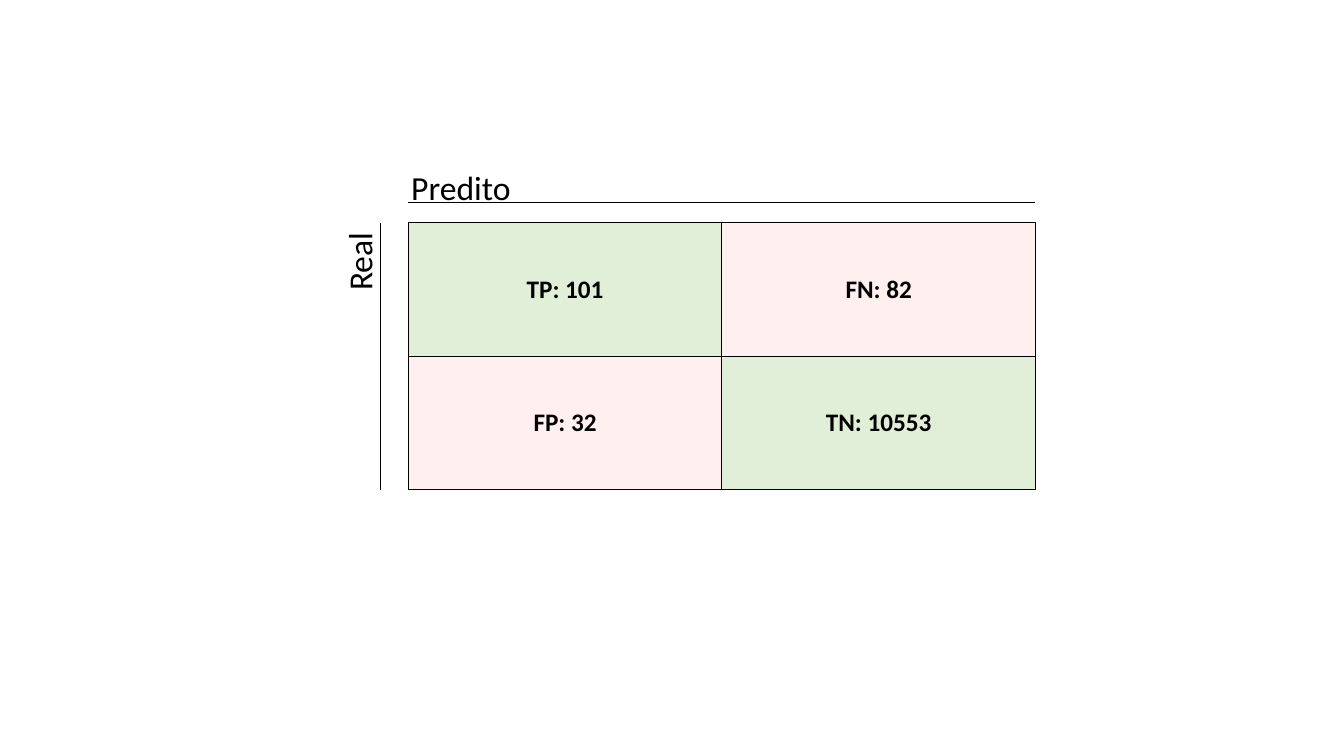
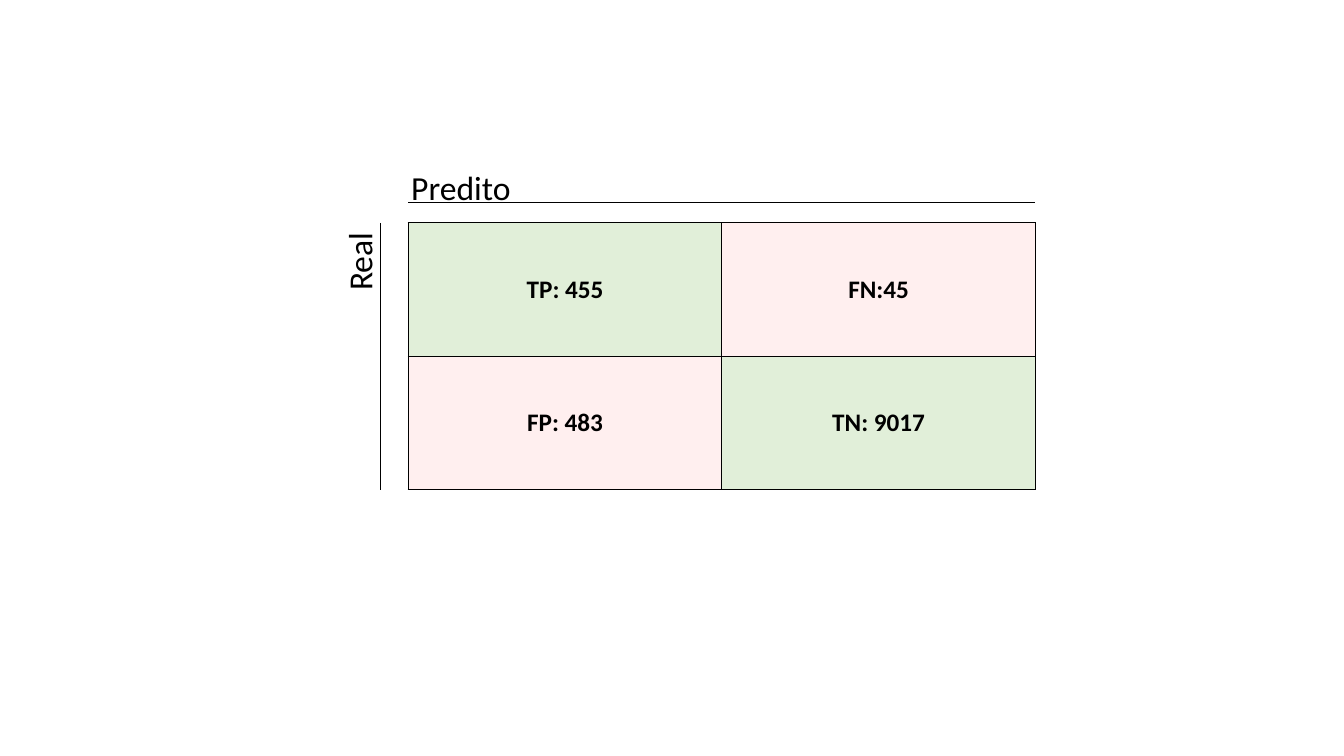
from collections import namedtuple

from lxml import etree
from pptx import Presentation
from pptx.dml.color import RGBColor
from pptx.enum.shapes import MSO_CONNECTOR
from pptx.enum.text import MSO_ANCHOR, MSO_AUTO_SIZE, PP_ALIGN
from pptx.oxml.ns import qn
from pptx.util import Inches, Pt

STRAIGHT = MSO_CONNECTOR.STRAIGHT
MIDDLE = MSO_ANCHOR.MIDDLE
FIT_SHAPE = MSO_AUTO_SIZE.SHAPE_TO_FIT_TEXT
LEFT, CENTER, RIGHT = PP_ALIGN.LEFT, PP_ALIGN.CENTER, PP_ALIGN.RIGHT

BLACK = RGBColor(0x00, 0x00, 0x00)
GREEN = RGBColor(0xC5, 0xE0, 0xB4)
RED = RGBColor(0xFF, 0x65, 0x65)
HIT, MISS = (GREEN, 50), (RED, 10)  # colour and opacity in percent
FONT = "Calibri"

Box = namedtuple("Box", "left top width height")
MATRIX_BOX = Box(4.05, 2.21, 6.22, 2.65)
COLUMN_RULE_GAP, ROW_RULE_GAP = 0.2, 0.28

MATRICES = [
    [["TP: 101", "FN: 82"], ["FP: 32", "TN: 10553"]],
    [["TP: 455", "FN:45"], ["FP: 483", "TN: 9017"]],
]


def write(frame, text, size=24, bold=False, align=LEFT):
    para = frame.paragraphs[0]
    para.alignment = align
    span = para.add_run()
    span.text = text
    span.font.name = FONT
    span.font.size = Pt(size)
    span.font.bold = bold
    span.font.color.rgb = BLACK


def add_rule(page, start, end):
    rule = page.shapes.add_connector(STRAIGHT, *map(Inches, start + end))
    rule.line.color.rgb = BLACK
    rule.line.width = Pt(0.5)
    etree.SubElement(rule._element.spPr, qn("a:effectLst"))


def add_axis_label(page, box, text, align=LEFT, vertical=False):
    label = page.shapes.add_textbox(*map(Inches, box))
    frame = label.text_frame
    frame.word_wrap = True
    frame.auto_size = FIT_SHAPE
    if vertical:
        frame._txBody.bodyPr.set("vert", "vert270")
    write(frame, text, align=align)


def add_solid_fill(parent, color):
    fill = etree.SubElement(parent, qn("a:solidFill"))
    return etree.SubElement(fill, qn("a:srgbClr"), val=str(color))


def style_cell(cell, color, opacity):
    """Draw the four borders, then the translucent fill."""
    properties = cell._tc.get_or_add_tcPr()
    for side in ("lnL", "lnR", "lnT", "lnB"):
        border = etree.SubElement(properties, qn(f"a:{side}"), w=str(Pt(1)))
        add_solid_fill(border, BLACK)
    tint = add_solid_fill(properties, color)
    etree.SubElement(tint, qn("a:alpha"), val=str(opacity * 1000))


def add_matrix(page, box, values):
    table = page.shapes.add_table(len(values), len(values[0]), *map(Inches, box)).table
    table.first_row = table.horz_banding = False
    for row, texts in enumerate(values):
        for column, text in enumerate(texts):
            cell = table.cell(row, column)
            cell.vertical_anchor = MIDDLE
            style_cell(cell, *(HIT if row == column else MISS))
            write(cell.text_frame, text, size=18, bold=True, align=CENTER)


def add_axes(page, box):
    """Label and rule the predicted columns and the real rows around the box."""
    rule_top = box.top - COLUMN_RULE_GAP
    rule_left = box.left - ROW_RULE_GAP
    add_rule(page, (box.left, rule_top), (box.left + box.width, rule_top))
    add_rule(page, (rule_left, box.top), (rule_left, box.top + box.height))
    add_axis_label(page, Box(box.left - 0.07, rule_top - 0.4, box.width + 0.07, 0.5), "Predito")
    add_axis_label(page, Box(rule_left - 0.46, box.top, 0.61, box.height), "Real",
                   align=RIGHT, vertical=True)


def add_matrix_page(deck, values):
    page = deck.slides.add_slide(deck.slide_layouts.get_by_name("Blank"))
    add_matrix(page, MATRIX_BOX, values)
    add_axes(page, MATRIX_BOX)


def main():
    deck = Presentation()
    deck.slide_width, deck.slide_height = Inches(13.33), Inches(7.5)
    for values in MATRICES:
        add_matrix_page(deck, values)
    deck.save("out.pptx")


if __name__ == "__main__":
    main()
